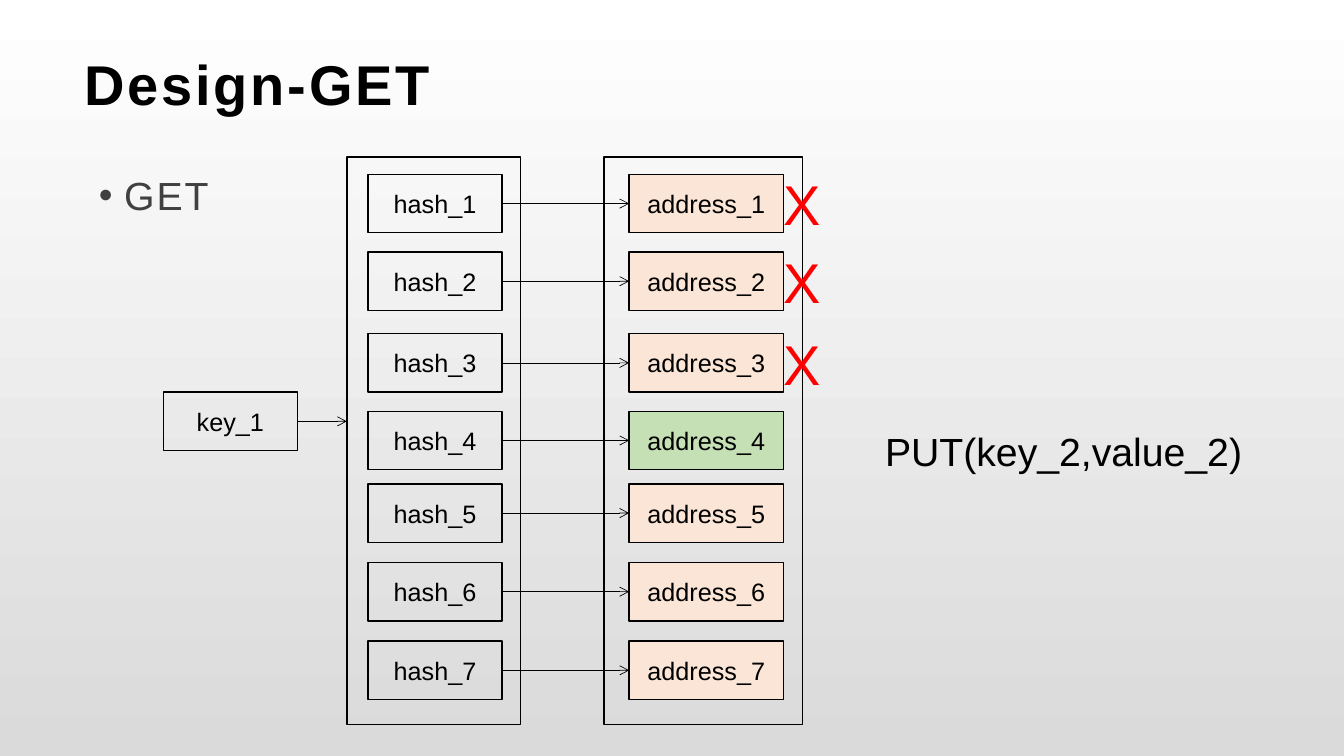
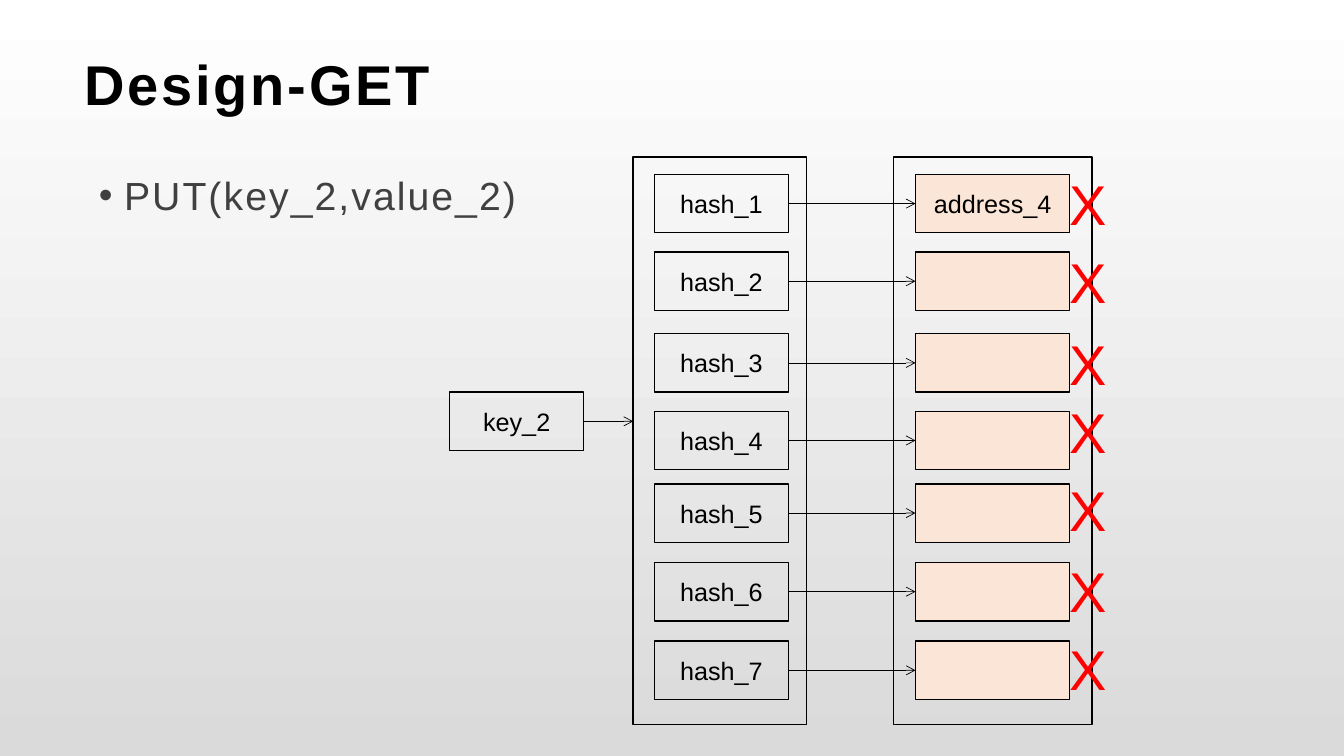
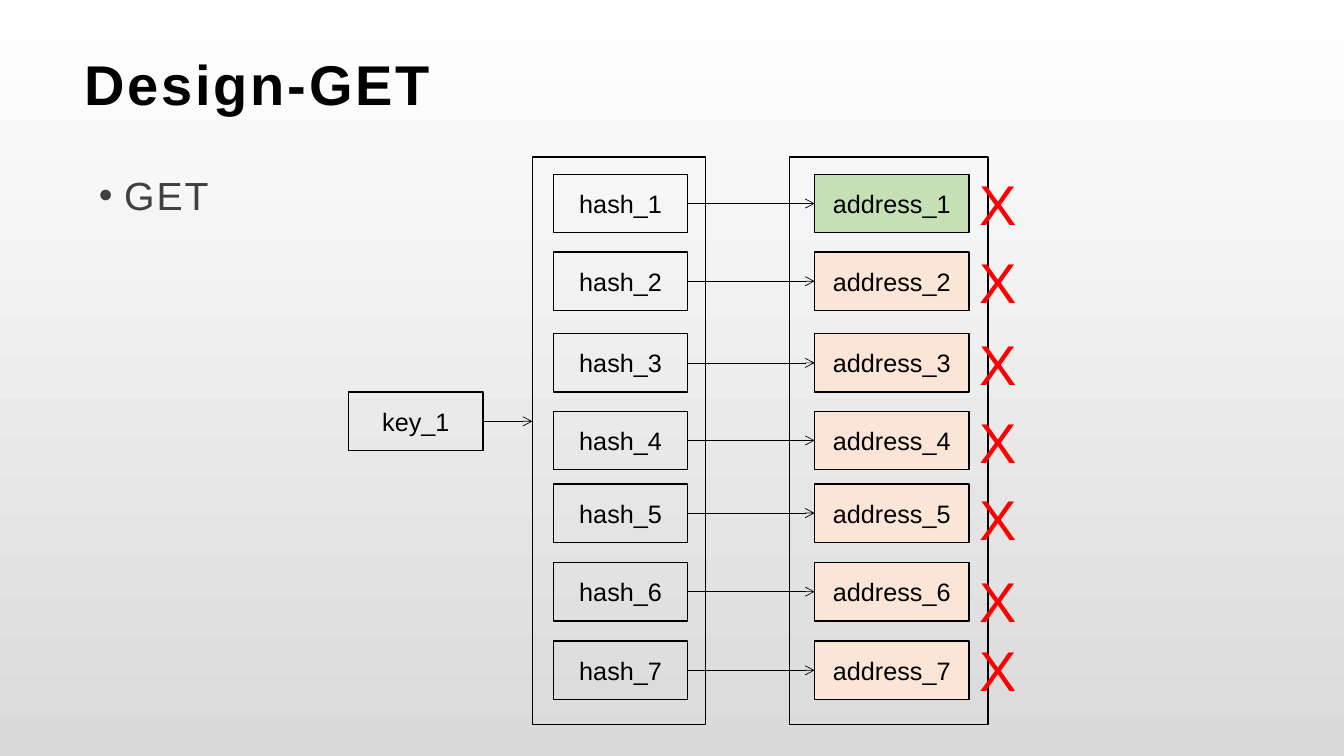
from lxml import etree
from pptx import Presentation
from pptx.dml.color import RGBColor
from pptx.enum import shapes, text
from pptx.oxml.ns import qn
from pptx.util import Inches, Pt

HUE = {"ink": "000000", "grey": "404040", "red": "FF0000", "peach": "FBE5D6",
       "green": "C5E0B4", "top": "FFFFFF", "low": "DADADA"}
ROWS = [1.73, 2.5, 3.31, 4.08, 4.8, 5.58, 6.36]
HIGH = 0.58
NAMES = [f"address_{n}" for n in range(1, 8)]

# x: left of the hash panel; frame and cross: offsets from x
SLIDES = [
    {"list": "GET", "key": "key_1", "x": 3.44, "frame": 2.55, "cross": 4.23,
     "names": NAMES, "hit": 3, "tops": [1.63, 2.41, 3.22], "note": "PUT(key_2,value_2)"},
    {"list": "PUT(key_2,value_2)", "key": "key_2", "x": 6.28, "frame": 2.58, "cross": 4.23,
     "names": ["address_4"] + [""] * 6, "hit": None,
     "tops": [1.63, 2.41, 3.22, 3.89, 4.67, 5.47, 6.25], "note": ""},
    {"list": "GET", "key": "key_1", "x": 5.28, "frame": 2.55, "cross": 4.34,
     "names": NAMES, "hit": 0,
     "tops": [1.63, 2.41, 3.22, 3.99, 4.76, 5.57, 6.26], "note": ""},
]
HEADS = [
    {"at": (0.73, 0.47, 11.87, 0.71), "size": 40, "hue": "ink", "bold": True, "spc": "200",
     "frame": {"margin_left": Inches(0.11), "margin_right": Inches(0.08),
               "margin_top": Inches(0.04), "margin_bottom": Inches(0.04),
               "vertical_anchor": text.MSO_ANCHOR.MIDDLE},
     "para": {"alignment": text.PP_ALIGN.LEFT}},
    {"at": (0.87, 1.56, 11.87, 5.51), "size": 28, "hue": "grey", "bold": False, "spc": "150",
     "frame": {"margin_left": Inches(0.11), "margin_right": Inches(0.09),
               "margin_top": 0, "margin_bottom": 0,
               "vertical_anchor": text.MSO_ANCHOR.TOP},
     "para": {"line_spacing": 1.3, "space_before": Pt(0), "space_after": Pt(10)}},
]


def write(shape, words, size, hue="ink", bold=False):
    """Put one formatted run in the shape and return its paragraph and run."""
    para = shape.text_frame.paragraphs[0]
    run = para.add_run()
    run.text = words
    for name, value in {"name": "Arial", "size": Pt(size), "bold": bold}.items():
        setattr(run.font, name, value)
    run.font.color.rgb = RGBColor.from_string(HUE[hue])
    return para, run


def box(slide, at, words="", fill=None):
    """Add an outlined rectangle with centred text."""
    rect = slide.shapes.add_shape(shapes.MSO_SHAPE.RECTANGLE, *map(Inches, at))
    rect.shadow.inherit = False
    rect.line.color.rgb = RGBColor.from_string(HUE["ink"])
    rect.line.width = Pt(1)
    if fill:
        rect.fill.solid()
        rect.fill.fore_color.rgb = RGBColor.from_string(HUE[fill])
    else:
        rect.fill.background()
    if words:
        write(rect, words, 18)[0].alignment = text.PP_ALIGN.CENTER
    return rect


prs = Presentation()
prs.slide_width, prs.slide_height = Inches(13.33), Inches(7.5)
back = prs.slide_master.background.fill
back.gradient()
back.gradient_angle = 270
for stop, hue in zip(back.gradient_stops, ("top", "low")):
    stop.color.rgb = RGBColor.from_string(HUE[hue])

layout = prs.slide_layouts[1]
for holder, head in zip(layout.placeholders, HEADS):
    for side, value in zip(("left", "top", "width", "height"), head["at"]):
        setattr(holder, side, Inches(value))

for page in SLIDES:
    slide = prs.slides.add_slide(layout)
    x = page["x"]

    for holder, head, words in zip(slide.placeholders, HEADS, ("Design-GET", page["list"])):
        para, run = write(holder, words, head["size"], head["hue"], head["bold"])
        run.font._element.set("spc", head["spc"])
        for name, value in head["frame"].items():
            setattr(holder.text_frame, name, value)
        for name, value in head["para"].items():
            setattr(para, name, value)
    props = para._p.get_or_add_pPr()
    props.set("marL", str(Inches(0.25)))
    props.set("indent", str(Inches(-0.25)))

    box(slide, (x, 1.56, 1.72, 5.63))
    box(slide, (x + page["frame"], 1.56, 1.97, 5.63))
    key = box(slide, (x - 1.82, 3.89, 1.33, HIGH), page["key"])

    links = [(key, None)]
    for n, (top, name) in enumerate(zip(ROWS, page["names"])):
        mark = box(slide, (x + 0.21, top, 1.33, HIGH), f"hash_{n + 1}")
        fill = "green" if n == page["hit"] else "peach"
        links.append((mark, box(slide, (x + 2.8, top, 1.53, HIGH), name, fill)))

    for start, end in links:
        mid = start.top + start.height // 2
        line = slide.shapes.add_connector(
            shapes.MSO_CONNECTOR.STRAIGHT, start.left + start.width, mid, Inches(x), mid)
        line.begin_connect(start, 3)
        if end:
            line.end_connect(end, 1)
        line.line.color.rgb = RGBColor.from_string(HUE["ink"])
        line.line.width = Pt(0.5)
        etree.SubElement(line.line._get_or_add_ln(), qn("a:tailEnd"), type="arrow")
        etree.SubElement(line._element.spPr, qn("a:effectLst"))

    notes = [((x + page["cross"], top, 1.41, 0.77), "X", 40, "red") for top in page["tops"]]
    if page["note"]:
        notes.append(((8.68, 4.19, 4.05, 0.57), page["note"], 28, "ink"))
    for at, words, size, hue in notes:
        note = slide.shapes.add_textbox(*map(Inches, at))
        note.text_frame.word_wrap = True
        write(note, words, size, hue)

prs.save("out.pptx")
